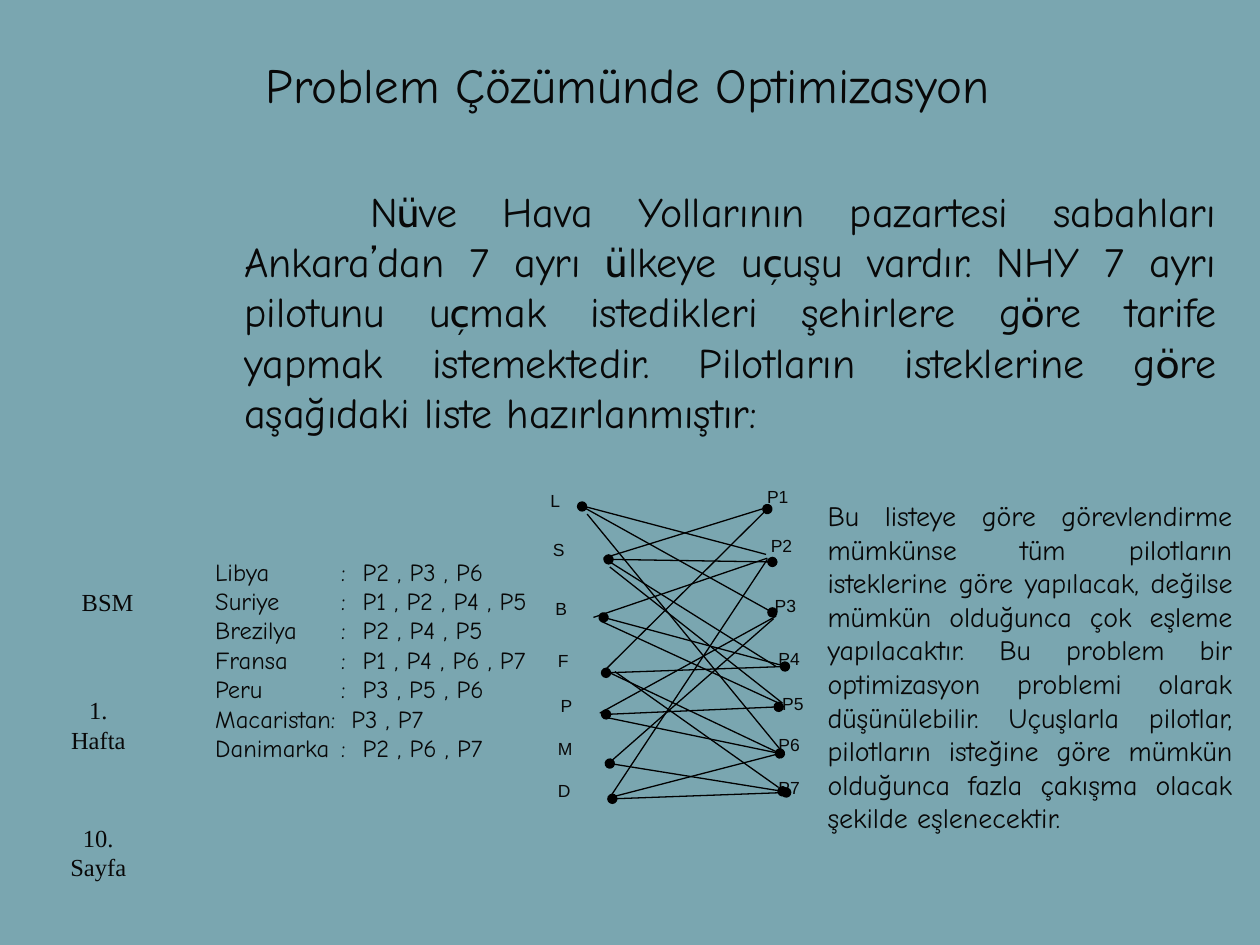
from lxml.etree import SubElement
from pptx import Presentation
from pptx.dml.color import RGBColor
from pptx.enum.shapes import MSO_CONNECTOR
from pptx.enum.text import MSO_ANCHOR, PP_ALIGN
from pptx.oxml.ns import qn
from pptx.util import Inches, Pt

COLORS = {"background": "7AA6B0", "text": "080808", "line": "000000"}
MAIN_FONT, ACCENT_FONT = "Comic Neue", "Cabin"
LABEL_FONT, SIDE_FONT = "Arial", "Times New Roman"


class SlideBuilder:
    def __init__(self, presentation):
        self.slide = presentation.slides.add_slide(presentation.slide_layouts[6])
        fill = self.slide.background.fill
        fill.solid()
        fill.fore_color.rgb = RGBColor.from_string(COLORS["background"])

    def style(self, font, size, name):
        font.size = Pt(size)
        font.name = name
        font.color.rgb = RGBColor.from_string(COLORS["text"])

    def text(self, box, lines, size, font=MAIN_FONT, align=PP_ALIGN.LEFT,
             anchor=MSO_ANCHOR.TOP):
        """Add a text box with one paragraph per line; return the paragraphs."""
        frame = self.slide.shapes.add_textbox(*map(Inches, box)).text_frame
        frame.word_wrap = True
        frame.vertical_anchor = anchor
        frame.text = "\n".join(lines)
        for paragraph in frame.paragraphs:
            paragraph.alignment = align
            self.style(paragraph.font, size, font)
        return frame.paragraphs

    def mixed_text(self, box, pieces, size):
        """Add a justified paragraph whose pieces alternate between two fonts."""
        paragraph = self.text(box, [""], size, align=PP_ALIGN.JUSTIFY)[0]
        for index, piece in enumerate(pieces):
            run = paragraph.add_run()
            run.text = piece
            self.style(run.font, size, ACCENT_FONT if index % 2 else MAIN_FONT)
        return paragraph

    def indent(self, paragraph, left, first):
        properties = paragraph._p.get_or_add_pPr()
        properties.set("marL", str(Inches(left)))
        properties.set("indent", str(Inches(first)))

    def tab_stops(self, paragraph, stops):
        tabs = SubElement(paragraph._p.get_or_add_pPr(), qn("a:tabLst"))
        for stop in stops:
            SubElement(tabs, qn("a:tab"), pos=str(Inches(stop)), algn="l")

    def edge(self, start, end, dots=()):
        """Add a line; dots names the ends that carry a round node."""
        line = self.slide.shapes.add_connector(
            MSO_CONNECTOR.STRAIGHT, *map(Inches, start + end))
        line.line.width = Pt(0.75)
        line.line.color.rgb = RGBColor.from_string(COLORS["line"])
        for dot in dots:
            SubElement(line.line._get_or_add_ln(), qn(f"a:{dot}End"), type="oval")
        SubElement(line._element.spPr, qn("a:effectLst"))


def main():
    presentation = Presentation()
    presentation.slide_width, presentation.slide_height = Inches(10), Inches(7.5)
    page = SlideBuilder(presentation)

    # Title and problem statement
    page.text((0.35, 0.08, 9.39, 1.17), ["Problem Çözümünde Optimizasyon "], 28,
              align=PP_ALIGN.CENTER, anchor=MSO_ANCHOR.MIDDLE)
    problem = page.mixed_text((1.46, 1.42, 8.29, 2.6), [
        "N", "ü", "ve Hava Yollarının pazartesi sabahları Ankara", "’",
        "dan 7 ayrı ", "ü", "lkeye u", "ç", "uşu vardır. NHY 7 ayrı pilotunu u",
        "ç", "mak istedikleri şehirlere g", "ö",
        "re tarife yapmak istemektedir. Pilotların isteklerine g", "ö",
        "re aşağıdaki liste hazırlanmıştır:"], 24)
    page.indent(problem, 0.38, 1)
    problem.space_before = Pt(4.8)

    # Node labels: countries on the left, pilots on the right
    countries = [("L", 4.27, 3.84), ("S", 4.29, 4.23), ("B", 4.31, 4.7),
                 ("F", 4.33, 5.11), ("P", 4.35, 5.47), ("M", 4.33, 5.81),
                 ("D", 4.33, 6.14)]
    pilots = [("P1", 5.99, 3.81), ("P2", 6.02, 4.2), ("P3", 6.05, 4.67),
              ("P4", 6.08, 5.09), ("P5", 6.11, 5.45), ("P6", 6.08, 5.78),
              ("P7", 6.08, 6.12)]
    for nodes, width in ((countries, 0.55), (pilots, 0.83)):
        for label, left, top in nodes:
            page.text((left, top, width, 0.35), [label], 10, LABEL_FONT)

    # Edges of the matching graph
    head, tail, both = ("head",), ("tail",), ("head", "tail")
    edges = [
        # Libya
        ((4.64, 4.02), (6.08, 4.4)),
        ((4.62, 4.02), (6.13, 4.86), both),
        ((4.66, 4.08), (6.21, 5.97)),
        # Suriye
        ((4.79, 4.43), (6.08, 4.03)),
        ((4.83, 4.44), (6.13, 4.46), both),
        ((4.84, 4.46), (6.16, 5.29)),
        ((4.84, 4.5), (6.21, 5.58)),
        # Brezilya
        ((4.71, 4.9), (6.09, 4.43)),
        ((4.79, 4.9), (6.24, 5.29), head),
        ((4.77, 4.93), (6.18, 5.58)),
        # Fransa
        ((4.81, 5.31), (6.09, 4.04), tail),
        ((4.81, 5.34), (6.23, 5.29), both),
        ((4.84, 5.34), (6.19, 5.98)),
        ((4.88, 5.33), (6.18, 6.25)),
        # Peru
        ((4.76, 5.66), (6.16, 4.89)),
        ((4.81, 5.67), (6.18, 5.61), both),
        ((4.79, 5.69), (6.19, 5.98), tail),
        # Macaristan
        ((4.84, 6.05), (6.14, 4.91)),
        ((4.84, 6.06), (6.21, 6.28), both),
        # Danimarka
        ((4.84, 6.33), (6.09, 4.44)),
        ((4.84, 6.33), (6.19, 5.98)),
        ((4.86, 6.34), (6.24, 6.29), both),
    ]
    for edge in edges:
        page.edge(*edge)

    # Pilot requests per country
    requests = ["Libya\t:\tP2 , P3 , P6", "Suriye\t:\tP1 , P2 , P4 , P5",
                "Brezilya\t:\tP2 , P4 , P5", "Fransa\t:\tP1 , P4 , P6 , P7",
                "Peru\t:\tP3 , P5 , P6", "Macaristan:\tP3 , P7",
                "Danimarka\t:\tP2 , P6 , P7"]
    for paragraph in page.text((1.61, 4.37, 5.75, 1.73), requests, 14,
                               anchor=MSO_ANCHOR.MIDDLE):
        long_name = paragraph.text.startswith("Macaristan")
        page.tab_stops(paragraph, [1.08] if long_name else [1, 1.17])

    # Explanation
    page.text((6.47, 3.77, 3.41, 3.04), [
        "Bu listeye göre görevlendirme mümkünse tüm pilotların isteklerine göre "
        "yapılacak, değilse mümkün olduğunca çok eşleme yapılacaktır. Bu problem "
        "bir optimizasyon problemi olarak düşünülebilir. Uçuşlarla pilotlar, "
        "pilotların isteğine göre mümkün olduğunca fazla çakışma olacak şekilde "
        "eşlenecektir."], 16, align=PP_ALIGN.JUSTIFY, anchor=MSO_ANCHOR.MIDDLE)

    # Course, week and page
    page.text((0.55, 4.61, 0.62, 0.34), ["BSM"], 14, SIDE_FONT)
    page.text((0.39, 5.47, 0.78, 0.7), ["1. Hafta"], 14, SIDE_FONT, PP_ALIGN.CENTER)
    page.text((0.39, 6.48, 0.78, 0.62), ["10.", "Sayfa"], 14, SIDE_FONT,
              PP_ALIGN.CENTER)

    presentation.save("out.pptx")


if __name__ == "__main__":
    main()
